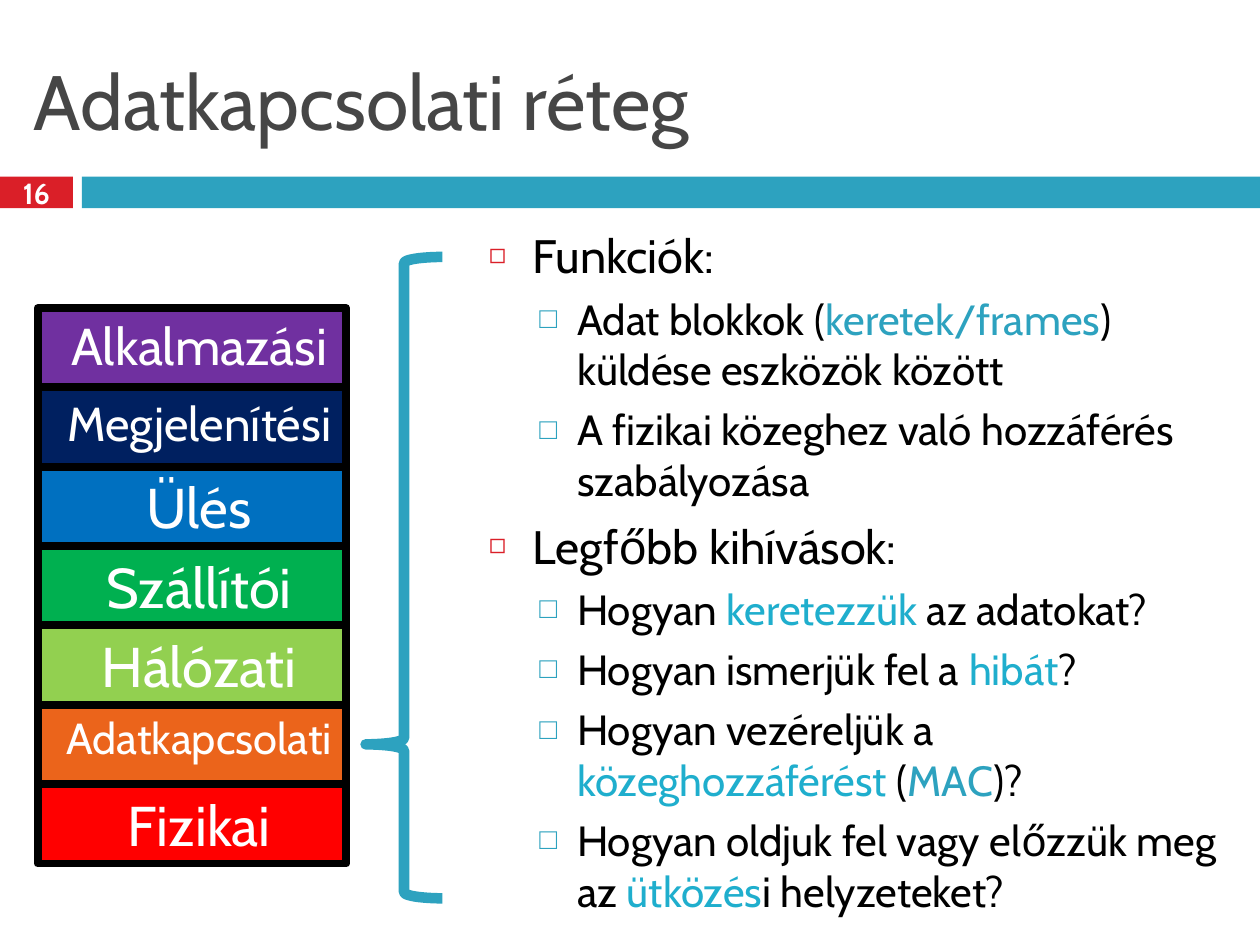
from lxml import etree
from pptx import Presentation
from pptx.dml.color import RGBColor
from pptx.enum.shapes import MSO_SHAPE
from pptx.enum.text import MSO_ANCHOR, MSO_AUTO_SIZE, PP_ALIGN
from pptx.oxml.ns import qn
from pptx.util import Cm, Pt

RECT, BRACE = MSO_SHAPE.RECTANGLE, MSO_SHAPE.LEFT_BRACE
TOP, MIDDLE = MSO_ANCHOR.TOP, MSO_ANCHOR.MIDDLE
LEFT, CENTER = PP_ALIGN.LEFT, PP_ALIGN.CENTER
FIXED = MSO_AUTO_SIZE.NONE

FONT = "Cabin"
BLACK = RGBColor(0x00, 0x00, 0x00)
WHITE = RGBColor(0xFF, 0xFF, 0xFF)
GRAY = RGBColor(0x46, 0x46, 0x46)
RED = RGBColor(0xDA, 0x1F, 0x28)
TEAL = RGBColor(0x2D, 0xA2, 0xBF)
AQUA = RGBColor(0x1F, 0xAE, 0xCD)
PURPLE = RGBColor(0x70, 0x30, 0xA0)
NAVY = RGBColor(0x00, 0x20, 0x60)
BLUE = RGBColor(0x00, 0x70, 0xC0)
GREEN = RGBColor(0x00, 0xB0, 0x50)
LIME = RGBColor(0x92, 0xD0, 0x50)
ORANGE = RGBColor(0xEB, 0x64, 0x1B)
BRIGHT = RGBColor(0xFF, 0x00, 0x00)


def add_run(para, text, size, color, bold=False):
    run = para.add_run()
    run.text = text
    run.font.name = FONT
    run.font.size = Pt(size)
    run.font.bold = bold
    run.font.color.rgb = color


def add_box(kind, left, top, width, height, fill=None):
    box = slide.shapes.add_shape(kind, Cm(left), Cm(top), Cm(width), Cm(height))
    box.shadow.inherit = False
    box.line.fill.background()
    if fill is None:
        box.fill.background()
    else:
        box.fill.solid()
        box.fill.fore_color.rgb = fill
    return box


deck = Presentation()
deck.slide_width, deck.slide_height = Cm(25.4), Cm(19.05)
slide = deck.slides.add_slide(deck.slide_layouts[1])

# Header band with the slide number
badge = add_box(RECT, 0, 3.56, 1.47, 0.64, RED)
add_box(RECT, 1.65, 3.56, 23.75, 0.64, TEAL)
frame = badge.text_frame
frame.margin_left = frame.margin_right = frame.margin_top = frame.margin_bottom = 0
frame.vertical_anchor = MIDDLE
frame.paragraphs[0].alignment = CENTER
add_run(frame.paragraphs[0], "16", 16.6, WHITE, True)

# Title
title = slide.shapes.title
title.left, title.top, title.width, title.height = Cm(0.43), Cm(0.64), Cm(24.56), Cm(2.74)
frame = title.text_frame
frame.auto_size = FIXED
frame.vertical_anchor = MIDDLE
frame.paragraphs[0].alignment = LEFT
add_run(frame.paragraphs[0], "Adatkapcsolati réteg", 44, GRAY)

# Bullet list: level, then runs of text and colour
items = [
    (0, [("Funkciók:", BLACK)]),
    (1, [("Adat blokkok (", BLACK), ("keretek/frames", TEAL),
         (") küldése eszközök között", BLACK)]),
    (1, [("A fizikai közeghez való hozzáférés szabályozása", BLACK)]),
    (0, [("Legfőbb kihívások:", BLACK)]),
    (1, [("Hogyan ", BLACK), ("keretezzük", AQUA), (" az adatokat?", BLACK)]),
    (1, [("Hogyan ismerjük fel a ", BLACK), ("hibát", AQUA), ("?", BLACK)]),
    (1, [("Hogyan vezéreljük a ", BLACK), ("közeghozzáférést ", AQUA),
         ("(", BLACK), ("MAC", TEAL), (")?", BLACK)]),
    (1, [("Hogyan oldjuk fel vagy előzzük meg az ", BLACK), ("ütközés", AQUA),
         ("i helyzeteket?", BLACK)]),
]
# Per level: size, space before, margin, indent, bullet, its colour and percent
styles = [
    (26.8, 7, 0.89, -0.89, "◻", RED, 60),
    (24.1, 5.5, 1.78, -0.76, "□", TEAL, 70),
]
body = slide.placeholders[1]
body.left, body.top, body.width, body.height = Cm(9.6), Cm(4.45), Cm(15.39), Cm(14.17)
frame = body.text_frame
frame.auto_size = FIXED
for i, (level, runs) in enumerate(items):
    size, before, margin, indent, mark, color, percent = styles[level]
    para = frame.paragraphs[0] if i == 0 else frame.add_paragraph()
    para.level = level
    para.space_before = Pt(before)
    props = para._p.get_or_add_pPr()
    props.set("marL", str(Cm(margin)))
    props.set("indent", str(Cm(indent)))
    tint = etree.SubElement(props, qn("a:buClr"))
    etree.SubElement(tint, qn("a:srgbClr"), val=str(color))
    etree.SubElement(props, qn("a:buSzPct"), val=str(percent * 1000))
    etree.SubElement(props, qn("a:buChar"), char=mark)
    for text, shade in runs:
        add_run(para, text, size, shade)

# Stack of layers
layers = [
    ("Alkalmazási", 29.6, PURPLE),
    ("Megjelenítési", 27.2, NAVY),
    ("Ülés", 32, BLUE),
    ("Szállítói", 32, GREEN),
    ("Hálózati", 32, LIME),
    ("Adatkapcsolati", 24.8, ORANGE),
    ("Fizikai", 32, BRIGHT),
]
pitch = 1.6
for i, (name, size, color) in enumerate(layers):
    box = add_box(RECT, 0.76, 6.21 + i * pitch, 6.22, pitch, color)
    box.line.color.rgb = BLACK
    box.line.width = Pt(4.5)
    frame = box.text_frame
    frame.margin_left = frame.margin_right = Cm(0.1)
    frame.vertical_anchor = TOP
    para = frame.paragraphs[0]
    para.alignment = CENTER
    para._p.get_or_add_pPr().set("marL", str(Cm(0.3)))
    add_run(para, name, size, WHITE)

# Brace pointing at the data link layer
brace = add_box(BRACE, 7.37, 5.18, 1.55, 12.93)
brace.adjustments[0] = 0.08
brace.adjustments[1] = 0.76
brace.line.color.rgb = TEAL
brace.line.width = Pt(6)

deck.save("out.pptx")
